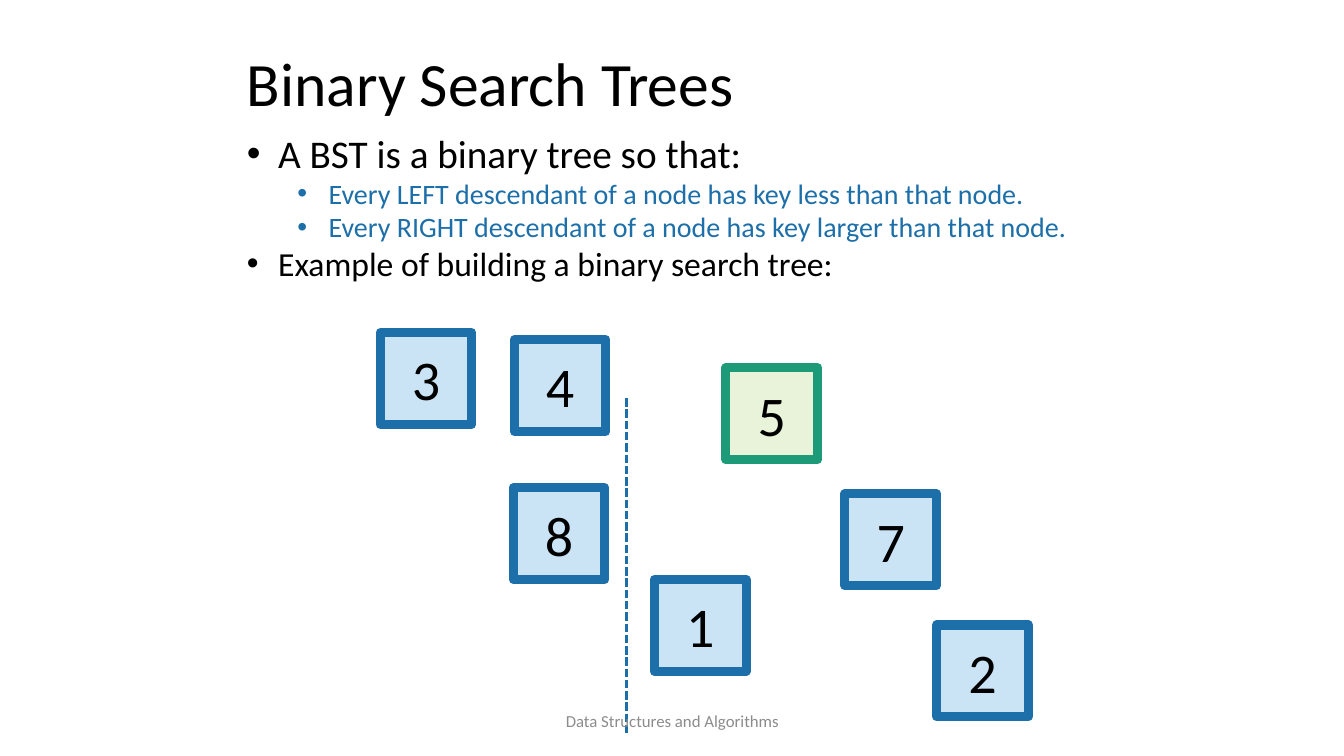
from lxml.etree import SubElement
from pptx import Presentation
from pptx.dml.color import RGBColor
from pptx.enum.dml import MSO_LINE
from pptx.enum.shapes import MSO_CONNECTOR, MSO_SHAPE
from pptx.enum.text import MSO_ANCHOR, PP_ALIGN
from pptx.oxml.ns import qn
from pptx.util import Inches, Pt

BLACK, BLUE, PALE_BLUE = "000000", "1D6FA9", "CAE4F6"
GREEN, PALE_GREEN, GREY = "1D9A78", "E8F3DA", "8C8C8C"
KEY_SIDE = 0.91
KEYS = [
    ("4", 5.1, 3.37, PALE_BLUE, BLUE),
    ("2", 9.29, 6.2, PALE_BLUE, BLUE),
    ("8", 5.09, 4.84, PALE_BLUE, BLUE),
    ("7", 8.38, 4.9, PALE_BLUE, BLUE),
    ("1", 6.49, 5.75, PALE_BLUE, BLUE),
    ("3", 3.77, 3.3, PALE_BLUE, BLUE),
    ("5", 7.2, 3.65, PALE_GREEN, GREEN),
]
POINTS = [
    ("A BST is a binary tree so that:", 0, 28, BLACK),
    ("Every LEFT descendant of a node has key less than that node.", 1, 20, BLUE),
    ("Every RIGHT descendant of a node has key larger than that node.", 1, 20, BLUE),
    ("Example of building a binary search tree:", 0, 24, BLACK),
]


def rgb(code):
    """Return the colour for a hex string."""
    return RGBColor.from_string(code)


def apply(target, formats):
    """Set each attribute named in formats on the target."""
    for name, value in formats.items():
        setattr(target, name, value)


def write(paragraph, text, size, color, **formats):
    """Fill a paragraph with one run of styled text."""
    apply(paragraph, formats)
    run = paragraph.add_run()
    run.text = text
    apply(run.font, {"name": "Calibri", "size": Pt(size)})
    run.font.color.rgb = rgb(color)


def add_text_frame(slide, left, top, width, height, anchor):
    """Add a wrapping text box and return its text frame."""
    box = slide.shapes.add_textbox(*map(Inches, (left, top, width, height)))
    apply(box.text_frame, {"word_wrap": True, "vertical_anchor": anchor})
    return box.text_frame


def add_bullet(paragraph, level):
    """Give a paragraph a bullet with a hanging indent for its level."""
    paragraph.level = level
    properties = paragraph._p.get_or_add_pPr()
    properties.set("marL", str(Inches(0.31 + 0.5 * level)))
    properties.set("indent", str(Inches(-0.31)))
    SubElement(properties, qn("a:buFont"), typeface="Arial")
    SubElement(properties, qn("a:buChar"), char="•")


def add_points(slide):
    """Add the bulleted definition of a search tree."""
    frame = add_text_frame(slide, 2.35, 1.23, 10.31, 1.65, MSO_ANCHOR.TOP)
    for index, (text, level, size, color) in enumerate(POINTS):
        paragraph = frame.add_paragraph() if index else frame.paragraphs[0]
        add_bullet(paragraph, level)
        write(paragraph, text, size, color)


def add_key(slide, key, left, top, fill, border):
    """Add one square that holds a key."""
    square = slide.shapes.add_shape(
        MSO_SHAPE.RECTANGLE, *map(Inches, (left, top, KEY_SIDE, KEY_SIDE)))
    square.shadow.inherit = False
    square.fill.solid()
    square.fill.fore_color.rgb = rgb(fill)
    square.line.color.rgb = rgb(border)
    square.line.width = Pt(6.5)
    square.text_frame.vertical_anchor = MSO_ANCHOR.MIDDLE
    write(square.text_frame.paragraphs[0], key, 40, BLACK, alignment=PP_ALIGN.CENTER)


def add_divider(slide, x, top, bottom):
    """Add the dashed vertical line between the keys."""
    divider = slide.shapes.add_connector(
        MSO_CONNECTOR.STRAIGHT, *map(Inches, (x, top, x, bottom)))
    divider.line.color.rgb = rgb(BLUE)
    apply(divider.line, {"width": Pt(2), "dash_style": MSO_LINE.SQUARE_DOT})
    SubElement(divider._element.spPr, qn("a:effectLst"))


def main():
    """Build the slide and save it."""
    deck = Presentation()
    apply(deck, {"slide_width": Inches(13.33), "slide_height": Inches(7.5)})
    slide = deck.slides.add_slide(deck.slide_layouts[6])
    title = add_text_frame(slide, 2.35, 0.4, 8.62, 0.92, MSO_ANCHOR.MIDDLE)
    write(title.paragraphs[0], "Binary Search Trees", 44, BLACK, line_spacing=0.9)
    for key in KEYS:
        add_key(slide, *key)
    add_points(slide)
    add_divider(slide, 6.21, 3.95, 7.28)
    footer = add_text_frame(slide, 4.42, 6.95, 4.5, 0.4, MSO_ANCHOR.MIDDLE)
    write(footer.paragraphs[0], "Data Structures and Algorithms", 12, GREY,
          alignment=PP_ALIGN.CENTER)
    deck.save("out.pptx")


if __name__ == "__main__":
    main()
